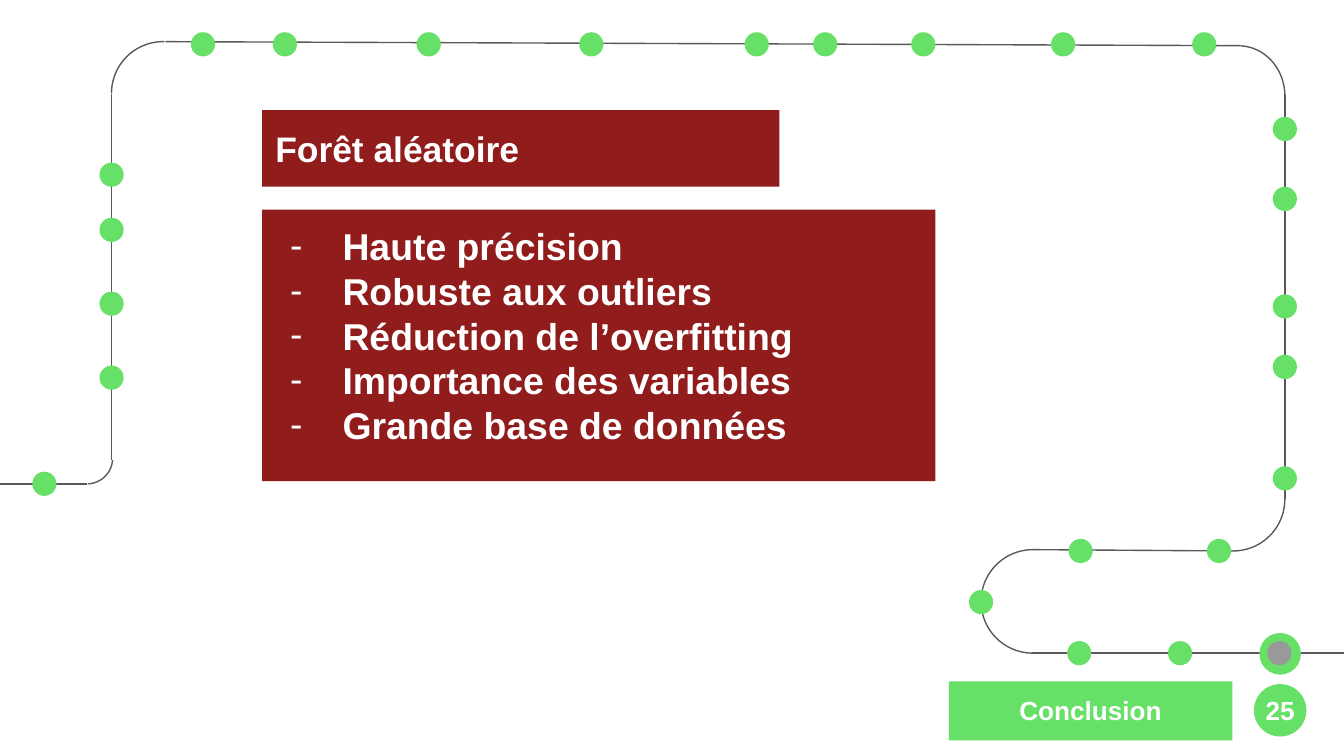
from typing import NamedTuple

from lxml import etree
from pptx import Presentation
from pptx.dml.color import RGBColor
from pptx.enum.shapes import MSO_CONNECTOR, MSO_SHAPE
from pptx.enum.text import MSO_ANCHOR, PP_ALIGN
from pptx.oxml.ns import qn
from pptx.util import Inches, Pt

STRAIGHT = MSO_CONNECTOR.STRAIGHT
ARC, OVAL, RECTANGLE = MSO_SHAPE.ARC, MSO_SHAPE.OVAL, MSO_SHAPE.RECTANGLE
TOP, MIDDLE = MSO_ANCHOR.TOP, MSO_ANCHOR.MIDDLE
LEFT, CENTER = PP_ALIGN.LEFT, PP_ALIGN.CENTER

GREEN, RED, GREY, TRACK, WHITE = "66E066", "901C1C", "999999", "595959", "FFFFFF"
FONT = "Arial"
DOT = 0.18


class Box(NamedTuple):
    """Position and size in inches."""
    left: float
    top: float
    width: float
    height: float


class Segment(NamedTuple):
    """Straight piece of the track, in inches."""
    x1: float
    y1: float
    x2: float
    y2: float


class Bend(NamedTuple):
    """Curved piece of the track, with angles in degrees."""
    box: Box
    start: float
    end: float


SEGMENTS = [
    Segment(-0.12, 3.6, 0.65, 3.6),
    Segment(0.83, 3.42, 0.83, 0.7),
    Segment(1.23, 0.31, 9.23, 0.34),
    Segment(9.56, 0.71, 9.56, 3.71),
    Segment(9.17, 4.1, 7.69, 4.09),
    Segment(10.1, 4.86, 7.68, 4.86),
]
BENDS = [
    Bend(Box(0.46, 3.21, 0.38, 0.39), 5.8, 88.8),
    Bend(Box(0.83, 0.31, 0.77, 0.77), 180, 271.2),
    Bend(Box(8.87, 0.34, 0.69, 0.75), 272.5, 0),
    Bend(Box(8.79, 3.33, 0.77, 0.77), 0, 91.2),
    Bend(Box(7.3, 4.09, 0.77, 0.77), 90, 271.2),
]
STATIONS = (
    [(0.24, 3.51), (7.21, 4.39)]
    + [(0.74, y) for y in (1.21, 1.62, 2.17, 2.72)]
    + [(x, 0.24) for x in (1.42, 2.03, 3.1, 4.31, 5.54, 6.05, 6.78, 7.82, 8.87)]
    + [(9.47, y) for y in (0.87, 1.39, 2.19, 2.64, 3.47)]
    + [(x, 4.01) for x in (7.95, 8.98)]
    + [(x, 4.77) for x in (7.94, 8.69)]
)
ADVANTAGES = [
    "Haute précision",
    "Robuste aux outliers",
    "Réduction de l’overfitting",
    "Importance des variables",
    "Grande base de données",
]


def rgb(code: str) -> RGBColor:
    """Turn a hex string into a colour."""
    return RGBColor.from_string(code)


def inches(box: Box) -> list:
    """Convert a box to lengths."""
    return [Inches(value) for value in box]


def add_block(slide, kind, box: Box, color: str):
    """Add a filled shape without outline."""
    block = slide.shapes.add_shape(kind, *inches(box))
    block.shadow.inherit = False
    block.fill.solid()
    block.fill.fore_color.rgb = rgb(color)
    block.line.fill.background()
    return block


def style_track(line) -> None:
    """Apply the track's stroke."""
    line.color.rgb = rgb(TRACK)
    line.width = Pt(0.75)


def add_segment(slide, segment: Segment) -> None:
    """Draw a straight piece of the track."""
    rail = slide.shapes.add_connector(STRAIGHT, *[Inches(v) for v in segment])
    style_track(rail.line)
    etree.SubElement(rail._element.spPr, qn("a:effectLst"))


def add_bend(slide, bend: Bend) -> None:
    """Draw a curved piece of the track."""
    curve = slide.shapes.add_shape(ARC, *inches(bend.box))
    curve.shadow.inherit = False
    curve.fill.background()
    style_track(curve.line)
    curve.adjustments[0] = bend.start * 0.6
    curve.adjustments[1] = bend.end * 0.6


def add_dash(paragraph) -> None:
    """Give a paragraph a hanging white dash."""
    properties = paragraph._p.get_or_add_pPr()
    properties.set("marL", str(Inches(0.5)))
    properties.set("indent", str(Inches(-0.39)))
    color = etree.SubElement(properties, qn("a:buClr"))
    etree.SubElement(color, qn("a:srgbClr"), val=WHITE)
    etree.SubElement(properties, qn("a:buFont"), typeface=FONT)
    etree.SubElement(properties, qn("a:buChar"), char="-")


def write(shape, text: str, *, size: float, align=LEFT, anchor=MIDDLE,
          dashed: bool = False) -> None:
    """Write bold white text, one paragraph per line."""
    frame = shape.text_frame
    frame.word_wrap = True
    frame.vertical_anchor = anchor
    frame.margin_left = frame.margin_right = Inches(0.1)
    frame.margin_top = frame.margin_bottom = Inches(0.1)
    for index, line in enumerate(text.split("\n")):
        paragraph = frame.add_paragraph() if index else frame.paragraphs[0]
        paragraph.alignment = align
        if dashed:
            add_dash(paragraph)
        run = paragraph.add_run()
        run.text = line
        run.font.name = FONT
        run.font.size = Pt(size)
        run.font.bold = True
        run.font.color.rgb = rgb(WHITE)


def main() -> None:
    """Build and save the slide."""
    deck = Presentation()
    deck.slide_width, deck.slide_height = Inches(10), Inches(10 * 9 / 16)
    slide = deck.slides.add_slide(deck.slide_layouts[6])

    section = add_block(slide, RECTANGLE, Box(7.06, 5.07, 2.11, 0.44), GREEN)
    write(section, "Conclusion", size=14, align=CENTER, anchor=TOP)

    for segment in SEGMENTS:
        add_segment(slide, segment)
    for bend in BENDS:
        add_bend(slide, bend)
    for x, y in STATIONS:
        add_block(slide, OVAL, Box(x, y, DOT, DOT), GREEN)
    add_block(slide, OVAL, Box(9.37, 4.71, 0.31, 0.31), GREEN)
    add_block(slide, OVAL, Box(9.43, 4.77, DOT, DOT), GREY)

    add_block(slide, OVAL, Box(9.33, 5.09, 0.39, 0.39), GREEN)
    page_number = slide.shapes.add_textbox(*inches(Box(9.23, 4.99, 0.59, 0.59)))
    write(page_number, "25", size=14, align=CENTER)

    advantages = add_block(slide, RECTANGLE, Box(1.95, 1.56, 5.01, 2.02), RED)
    write(advantages, "\n".join(ADVANTAGES), size=20, anchor=TOP, dashed=True)
    title = add_block(slide, RECTANGLE, Box(1.95, 0.82, 3.85, 0.57), RED)
    write(title, "Forêt aléatoire", size=19)

    deck.save("out.pptx")


if __name__ == "__main__":
    main()
